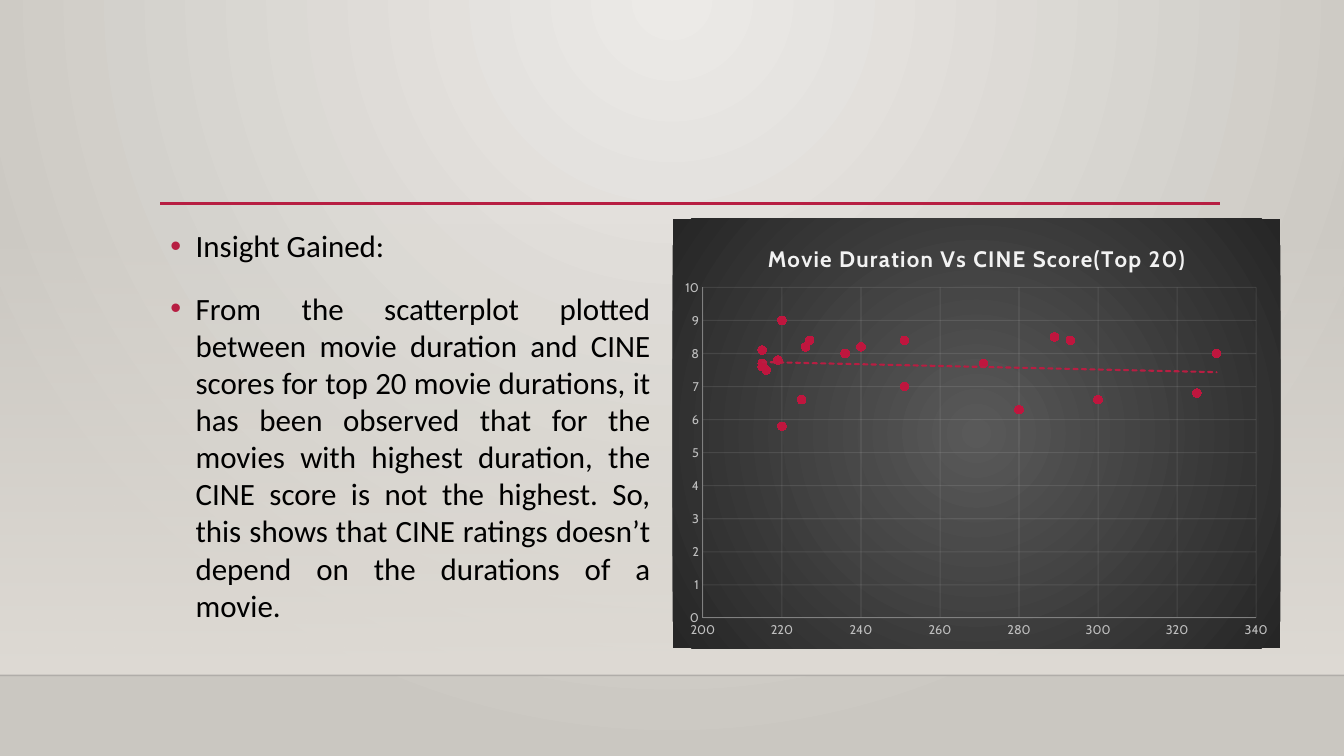
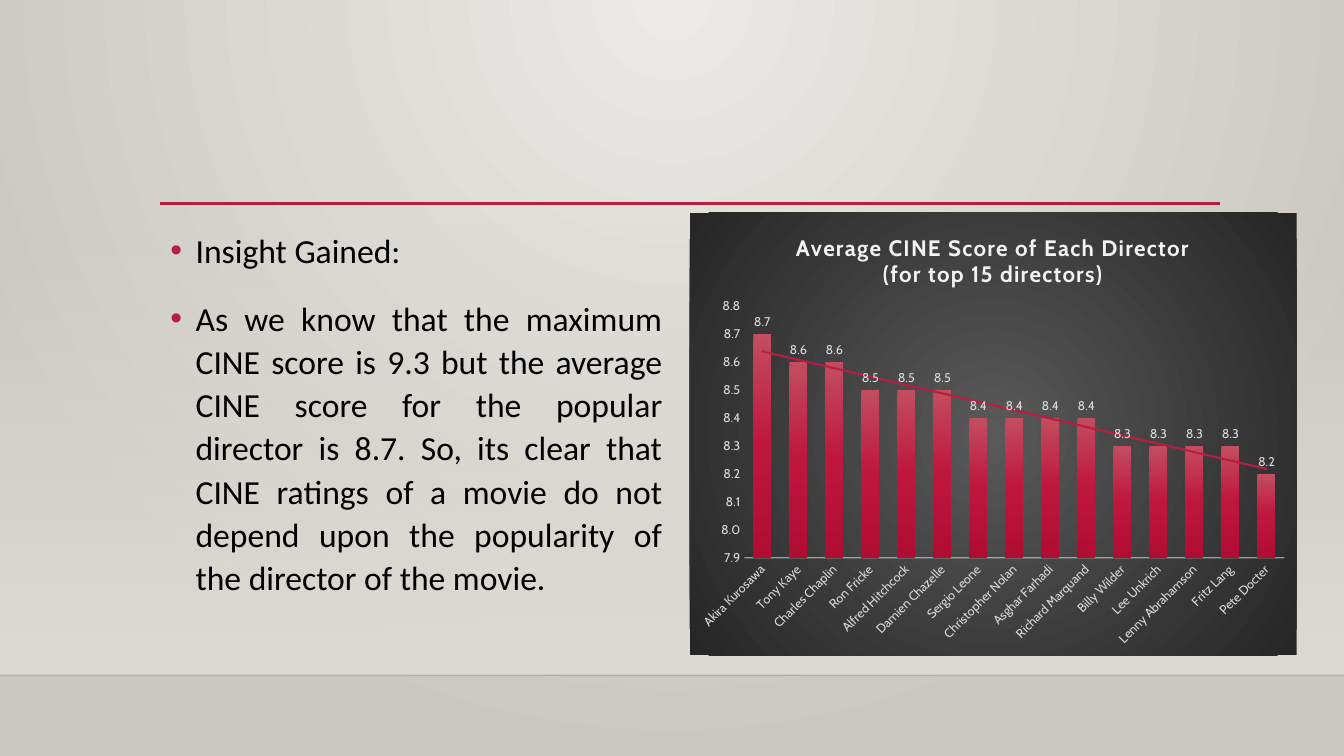
from dataclasses import dataclass

from pptx import Presentation
from pptx import util as u
from pptx.chart import data as chart_data
from pptx.dml.color import RGBColor
from pptx.enum import chart as ce, dml, shapes, text
from pptx.oxml import parse_xml
from pptx.oxml.ns import nsdecls, qn


@dataclass(frozen=True)
class Theme:
    """Colours, fonts and type sizes shared by the slides."""
    accent: RGBColor = RGBColor.from_string("B71E42")
    marker: RGBColor = RGBColor.from_string("BF163E")
    ink: RGBColor = RGBColor.from_string("000000")
    divider: RGBColor = RGBColor.from_string("000001")
    light: RGBColor = RGBColor.from_string("F2F2F2")
    pale: RGBColor = RGBColor.from_string("D9D9D9")
    silver: RGBColor = RGBColor.from_string("BFBFBF")
    grey: RGBColor = RGBColor.from_string("808080")
    backdrop: tuple = ((0, "ECEAE7", 100), (100, "CAC7C1", 100))
    band: tuple = ((0, "DFDBD5", 0), (100, "DFDBD5", 100))
    panel: tuple = ((0, "595959", 100), (100, "262626", 100))
    bars: tuple = ((0, "C24E5F", 100), (50, "BF163E", 100), (100, "B00D33", 100))
    body_font: str = "Calibri"
    chart_font: str = "Cabin"
    title_size: float = 16
    chart_size: float = 10
    label_size: float = 9


theme = Theme()
DOWNWARD = '<a:lin ang="5400000" scaled="0"/>'
RADIAL = '<a:path path="circle"><a:fillToRect l="{}" t="{}" r="{}" b="{}"/></a:path>'
FROM_TOP = RADIAL.format(43000, 0, 43000, 100000)
FROM_CENTRE = RADIAL.format(50000, 50000, 50000, 50000)


def paint(holder, stops, direction):
    """Give a properties element a gradient of (position, colour, opacity) stops."""
    stop_xml = "".join(
        f'<a:gs pos="{position * 1000}"><a:srgbClr val="{colour}">'
        f'<a:alpha val="{opacity * 1000}"/></a:srgbClr></a:gs>'
        for position, colour, opacity in stops)
    gradient = parse_xml(f'<a:gradFill {nsdecls("a")} rotWithShape="1">'
                         f'<a:gsLst>{stop_xml}</a:gsLst>{direction}</a:gradFill>')
    current = holder.find(qn("a:gradFill"))
    if current is None:
        holder.insert(0, gradient)
    else:
        holder.replace(current, gradient)


def fade(element, opacity):
    """Set the opacity, in percent, of the line colour inside an element."""
    colour = next(element.iter(qn("a:srgbClr")))
    colour.append(parse_xml(f'<a:alpha {nsdecls("a")} val="{opacity * 1000}"/>'))


durations = [330, 325, 300, 293, 289, 280, 271, 251, 251, 240, 236,
             227, 226, 225, 220, 220, 219, 216, 215, 215, 215]
duration_scores = [8, 6.8, 6.6, 8.4, 8.5, 6.3, 7.7, 8.4, 7, 8.2, 8,
                   8.4, 8.2, 6.6, 9, 5.8, 7.8, 7.5, 8.1, 7.7, 7.6]
scatter_data = chart_data.XyChartData()
scatter_series = scatter_data.add_series("Series 1")
for duration, score in zip(durations, duration_scores):
    scatter_series.add_data_point(duration, score)

director_scores = {
    "Akira Kurosawa": 8.7, "Tony Kaye": 8.6, "Charles Chaplin": 8.6,
    "Ron Fricke": 8.5, "Alfred Hitchcock": 8.5, "Damien Chazelle": 8.5,
    "Sergio Leone": 8.4, "Christopher Nolan": 8.4, "Asghar Farhadi": 8.4,
    "Richard Marquand": 8.4, "Billy Wilder": 8.3, "Lee Unkrich": 8.3,
    "Lenny Abrahamson": 8.3, "Fritz Lang": 8.3, "Pete Docter": 8.2}
director_data = chart_data.CategoryChartData(number_format="0.0")
director_data.categories = list(director_scores)
director_data.add_series("Series 1", list(director_scores.values()))

pages = [
    dict(
        insight="From the scatterplot plotted between movie duration and CINE scores for "
                "top 20 movie durations, it has been observed that for the movies with "
                "highest duration, the CINE score is not the highest. So, this shows that "
                "CINE ratings doesn’t depend on the durations of a movie.",
        body=(1.59, 2.2, 4.96, 4.26), size=22.1, spacing=1.0,
        kind=ce.XL_CHART_TYPE.XY_SCATTER, data=scatter_data,
        frame=(6.67, 2.17, 6.03, 4.26), title="Movie Duration Vs CINE Score(Top 20)",
        title_at=(0.15, 0.05), plot_at=(0.05, 0.16, 0.91, 0.77),
        value_scale=(0, 10, 1), tick_colour=theme.silver, dash="sysDash"),
    dict(
        insight="As we know that the maximum CINE score is 9.3 but the average CINE score "
                "for the popular director is 8.7. So, its clear that CINE ratings of a "
                "movie do not depend upon the popularity of the director of the movie.",
        body=(1.59, 2.2, 5.08, 4.3), size=24, spacing=1.07,
        kind=ce.XL_CHART_TYPE.COLUMN_CLUSTERED, data=director_data,
        frame=(6.84, 2.11, 6.02, 4.39),
        title="Average CINE Score of Each Director\n(for top 15 directors)",
        title_at=(0.17, 0.04), plot_at=(0.09, 0.21, 0.89, 0.57),
        value_scale=(7.9, 8.8, 0.1), tick_colour=theme.pale, dash="solid"),
]

presentation = Presentation()
presentation.slide_width, presentation.slide_height = u.Inches(13.33), u.Inches(7.5)
master = presentation.slide_master
master.background.fill.gradient()
paint(next(master.element.iter(qn("p:bgPr"))), theme.backdrop, FROM_TOP)

for page in pages:
    slide = presentation.slides.add_slide(presentation.slide_layouts[1])
    title_holder = slide.shapes.title.element
    title_holder.getparent().remove(title_holder)

    # Band and rules
    band = slide.shapes.add_shape(shapes.MSO_SHAPE.RECTANGLE, u.Inches(0), u.Inches(2.21),
                                  u.Inches(13.33), u.Inches(4.49))
    band.shadow.inherit = False
    band.line.fill.background()
    band.fill.gradient()
    paint(band.element.spPr, theme.band, DOWNWARD)
    for left, right, top, colour, width, opacity in (
            (0, 13.33, 6.7, theme.divider, 1, 20),
            (1.59, 12.1, 2.02, theme.accent, 2.5, 100)):
        rule = slide.shapes.add_connector(shapes.MSO_CONNECTOR.STRAIGHT, u.Inches(left),
                                          u.Inches(top), u.Inches(right), u.Inches(top))
        rule.line.color.rgb = colour
        rule.line.width = u.Pt(width)
        properties = rule.element.spPr
        fade(properties, opacity)
        properties.append(parse_xml(f'<a:effectLst {nsdecls("a")}/>'))

    # Insight text, in front of the band
    body = slide.placeholders[1]
    body.element.getparent().append(body.element)
    body.left, body.top, body.width, body.height = map(u.Inches, page["body"])
    frame = body.text_frame
    frame.word_wrap = True
    frame.auto_size = text.MSO_AUTO_SIZE.NONE
    frame.vertical_anchor = text.MSO_ANCHOR.TOP
    frame.text = "Insight Gained:\n" + page["insight"]
    for paragraph in frame.paragraphs:
        paragraph.alignment = text.PP_ALIGN.JUSTIFY
        paragraph.line_spacing = page["spacing"]
        paragraph.space_before, paragraph.space_after = u.Pt(10), u.Pt(8)
        paragraph.font.name = theme.body_font
        paragraph.font.size = u.Pt(page["size"])
        paragraph.font.color.rgb = theme.ink
        indents = paragraph._p.get_or_add_pPr()
        indents.set("marL", str(u.Inches(0.25)))
        indents.set("indent", str(u.Inches(-0.25)))
        bullet = (f'<a:buClr {nsdecls("a")}><a:srgbClr val="{theme.accent}"/></a:buClr>',
                  f'<a:buFont {nsdecls("a")} typeface="Arial"/>',
                  f'<a:buChar {nsdecls("a")} char="•"/>')
        default_font = indents.find(qn("a:defRPr"))
        for part in bullet:
            default_font.addprevious(parse_xml(part))

    # Chart panel and title
    chart = slide.shapes.add_chart(page["kind"], *map(u.Inches, page["frame"]),
                                   page["data"]).chart
    chart.has_legend = False
    chart.font.name = theme.chart_font
    chart.font.size = u.Pt(theme.chart_size)
    chart.font.color.rgb = theme.ink
    panel = parse_xml(f'<c:spPr {nsdecls("c", "a")}><a:ln><a:noFill/></a:ln></c:spPr>')
    paint(panel, theme.panel, FROM_CENTRE)
    chart.element.find(qn("c:txPr")).addprevious(panel)

    chart.has_title = True
    chart.chart_title.include_in_layout = False
    chart.chart_title.text_frame.text = page["title"]
    for paragraph in chart.chart_title.text_frame.paragraphs:
        for run in paragraph.runs:
            run.font.name = theme.chart_font
            run.font.size = u.Pt(theme.title_size)
            run.font.bold = True
            run.font.color.rgb = theme.light
            run._r.get_or_add_rPr().set("spc", "100")

    # Places of the title and of the plot inside the panel
    for holder_name, place, target in (("c:title", page["title_at"], ""),
                                       ("c:plotArea", page["plot_at"],
                                        '<c:layoutTarget val="inner"/>')):
        holder = next(chart.element.iter(qn(holder_name)))
        modes = "".join(f'<c:{axis}Mode val="edge"/>' for axis in "xy")
        sizes = "".join(f'<c:{side} val="{share}"/>' for side, share in zip("xywh", place))
        layout = parse_xml(f'<c:layout {nsdecls("c")}><c:manualLayout>{target}{modes}{sizes}'
                           '</c:manualLayout></c:layout>')
        current = holder.find(qn("c:layout"))
        if current is not None:
            holder.remove(current)
        if holder_name == "c:title":
            holder.find(qn("c:tx")).addnext(layout)
        else:
            holder.insert(0, layout)

    # Axes
    across, upward = chart.category_axis, chart.value_axis
    upward.minimum_scale, upward.maximum_scale, upward.major_unit = page["value_scale"]
    for axis in (across, upward):
        axis.major_tick_mark = axis.minor_tick_mark = ce.XL_TICK_MARK.NONE
        axis.tick_labels.font.name = theme.chart_font
        axis.tick_labels.font.size = u.Pt(theme.label_size)
        axis.tick_labels.font.color.rgb = page["tick_colour"]

    plot = chart.plots[0]
    plot.vary_by_categories = False
    series = plot.series[0]
    if page["kind"] == ce.XL_CHART_TYPE.XY_SCATTER:
        across.minimum_scale, across.maximum_scale, across.major_unit = 200, 340, 20
        for axis in (across, upward):
            axis.format.line.color.rgb = theme.grey
            axis.format.line.width = u.Pt(0.75)
            axis.has_major_gridlines = True
            axis.major_gridlines.format.line.color.rgb = theme.light
            axis.major_gridlines.format.line.width = u.Pt(0.75)
            axis.major_gridlines.format.line.dash_style = dml.MSO_LINE.SOLID
        for gridlines in chart.element.iter(qn("c:majorGridlines")):
            fade(gridlines, 10)
        series.smooth = False
        series.format.line.fill.background()
        series.marker.style = ce.XL_MARKER_STYLE.CIRCLE
        series.marker.size = 6
        series.marker.format.fill.solid()
        series.marker.format.fill.fore_color.rgb = theme.marker
        series.marker.format.line.fill.background()
    else:
        plot.gap_width, plot.overlap = 100, -24
        across.format.line.color.rgb = theme.light
        across.format.line.width = u.Pt(1)
        category_axis = next(chart.element.iter(qn("c:catAx")))
        fade(category_axis.find(qn("c:spPr")), 54)
        category_axis.find(qn("c:txPr")).find(qn("a:bodyPr")).set("rot", "-2700000")
        upward.has_major_gridlines = False
        upward.format.line.fill.background()
        upward.tick_labels.number_format = "0.0"
        upward.tick_labels.number_format_is_linked = False
        series.format.fill.gradient()
        paint(next(chart.element.iter(qn("c:ser"))).find(qn("c:spPr")), theme.bars, DOWNWARD)
        labels = series.data_labels
        labels.show_value = True
        labels.position = ce.XL_LABEL_POSITION.OUTSIDE_END
        labels.number_format, labels.number_format_is_linked = "0.0", False
        labels.font.name = theme.chart_font
        labels.font.size = u.Pt(theme.label_size)
        labels.font.color.rgb = theme.pale

    # Linear trend line, placed before the series' x values or categories
    trend = parse_xml(
        f'<c:trendline {nsdecls("c", "a")}><c:spPr><a:ln w="{u.Pt(1.5)}" cap="rnd"><a:solidFill>'
        f'<a:srgbClr val="{theme.accent}"/></a:solidFill><a:prstDash val="{page["dash"]}"/>'
        '</a:ln></c:spPr><c:trendlineType val="linear"/><c:dispRSqr val="0"/>'
        '<c:dispEq val="0"/></c:trendline>')
    series_xml = next(chart.element.iter(qn("c:ser")))
    next(series_xml.iterchildren(qn("c:xVal"), qn("c:cat"))).addprevious(trend)

presentation.save("out.pptx")
